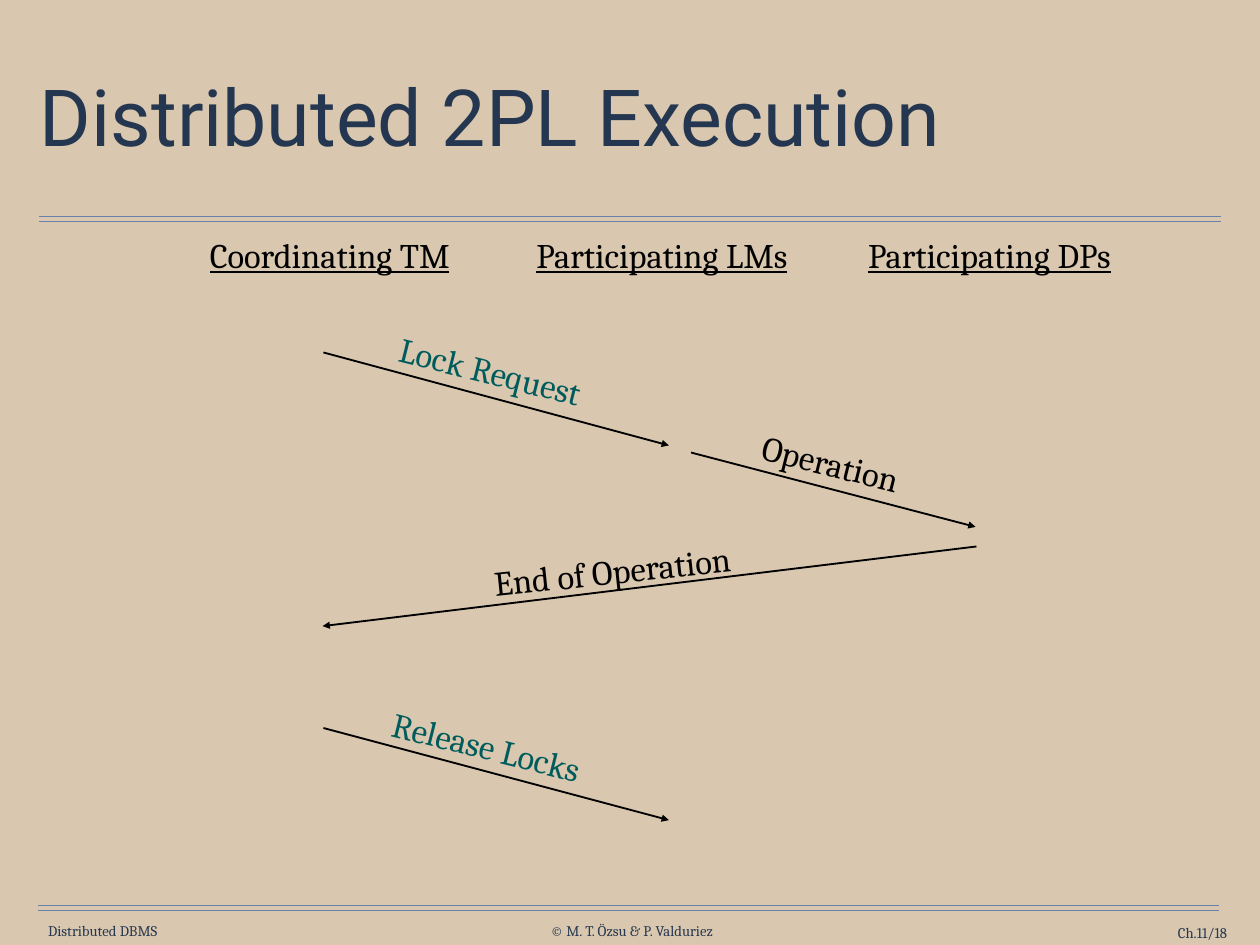
import pptx
import pptx.util
import pptx.dml.color
import pptx.enum.shapes
import pptx.enum.text
import pptx.oxml.ns
import pptx.oxml.xmlchemy

theme = {
    "back": "D9C8AF", "navy": "253750", "foot": "263750", "rule": "6682AA",
    "ink": "000000", "teal": "005C5C",
    "head font": "Roboto", "body font": "Cambria",
    "title": 64, "body": 28, "small": 12,
}
rgb = pptx.dml.color.RGBColor.from_string
make = pptx.oxml.xmlchemy.OxmlElement
Align = pptx.enum.text.PP_ALIGN
Anchor = pptx.enum.text.MSO_ANCHOR
Fit = pptx.enum.text.MSO_AUTO_SIZE

deck = pptx.Presentation()
deck.slide_width = pptx.util.Inches(14.22)
deck.slide_height = pptx.util.Inches(10.67)
# All lengths are percentages of the slide's width and height
wide, high = deck.slide_width / 100, deck.slide_height / 100
slide = deck.slides.add_slide(deck.slide_layouts[6])
slide.background.fill.solid()
slide.background.fill.fore_color.rgb = rgb(theme["back"])


def add_line(x1, y1, x2, y2, color, weight, arrow=False):
    line = slide.shapes.add_connector(
        pptx.enum.shapes.MSO_CONNECTOR.STRAIGHT,
        round(x1 * wide), round(y1 * high), round(x2 * wide), round(y2 * high))
    line.line.color.rgb = rgb(theme[color])
    line.line.width = pptx.util.Pt(weight)
    props = line._element.find(pptx.oxml.ns.qn("p:spPr"))
    if arrow:
        tip = make("a:tailEnd")
        tip.set("type", "triangle")
        props.find(pptx.oxml.ns.qn("a:ln")).append(tip)
    props.append(make("a:effectLst"))


def add_text(text, x, y, w, h, size, color, font="body font", align=Align.CENTER,
             pad=(0.98, 0.66), anchor=Anchor.TOP, fit=Fit.SHAPE_TO_FIT_TEXT,
             wrap=False, turn=0):
    box = slide.shapes.add_textbox(
        round(x * wide), round(y * high), round(w * wide), round(h * high))
    box.rotation = turn
    frame = box.text_frame
    frame.margin_left = frame.margin_right = round(pad[0] * wide)
    frame.margin_top = frame.margin_bottom = round(pad[1] * high)
    frame.word_wrap, frame.auto_size = wrap, fit
    frame.vertical_anchor = anchor
    para = frame.paragraphs[0]
    para.text, para.alignment = text, align
    para.font.name = theme[font]
    para.font.size = pptx.util.Pt(theme[size])
    para.font.color.rgb = rgb(theme[color])
    return para


# Double rules above and below the diagram
for left, right, top in [(3.09, 96.91, 22.87), (3.02, 96.77, 95.78)]:
    for y in (top, top + 0.56):
        add_line(left, y, right, y, "rule", 1)

# Footer
for text, x, y, w, align, wrap in [
    ("Distributed DBMS", 3.31, 97.56, 9.7, Align.CENTER, False),
    ("© M. T. Özsu & P. Valduriez", 42.83, 97.56, 14.63, Align.CENTER, False),
    ("Ch.11/18", 86.57, 97.75, 10.83, Align.RIGHT, True),
]:
    add_text(text, x, y, w, 1.87, "small", "foot", align=align,
             pad=(0, 0), anchor=Anchor.MIDDLE, wrap=wrap)

# Title
title = add_text("Distributed 2PL Execution", 2.74, 4.59, 94.51, 16.49,
                 "title", "navy", "head font", Align.LEFT, pad=(0.42, 0.56),
                 anchor=Anchor.MIDDLE, fit=Fit.NONE, wrap=True)
title.line_spacing = 0.9

# Column headings
row = 5.72
for text, x, w in [
    ("Coordinating TM", 14.49, 23.35),
    ("Participating LMs", 40.58, 23.91),
    ("Participating DPs", 66.88, 23.28),
]:
    add_text(text, x, 24.09, w, row, "body", "ink").font.underline = True

# Messages: arrow ends, then label place, width, turn and colour
for text, ends, x, y, w, turn, color in [
    ("Lock Request", (25.67, 37.3, 53.09, 47.14), 29.47, 36.36, 18.92, 14, "teal"),
    ("Operation", (54.85, 47.89, 77.43, 55.76), 58.72, 46.11, 14.42, 14, "ink"),
    ("End of Operation", (77.5, 57.83, 25.6, 66.26), 36.99, 57.54, 23.21, 354, "ink"),
    ("Release Locks", (25.67, 77.04, 53.09, 86.79), 29.11, 76.1, 18.99, 14, "teal"),
]:
    add_line(*ends, "ink", 1.5, arrow=True)
    add_text(text, x, y, w, row, "body", color, turn=turn)

deck.save("out.pptx")
